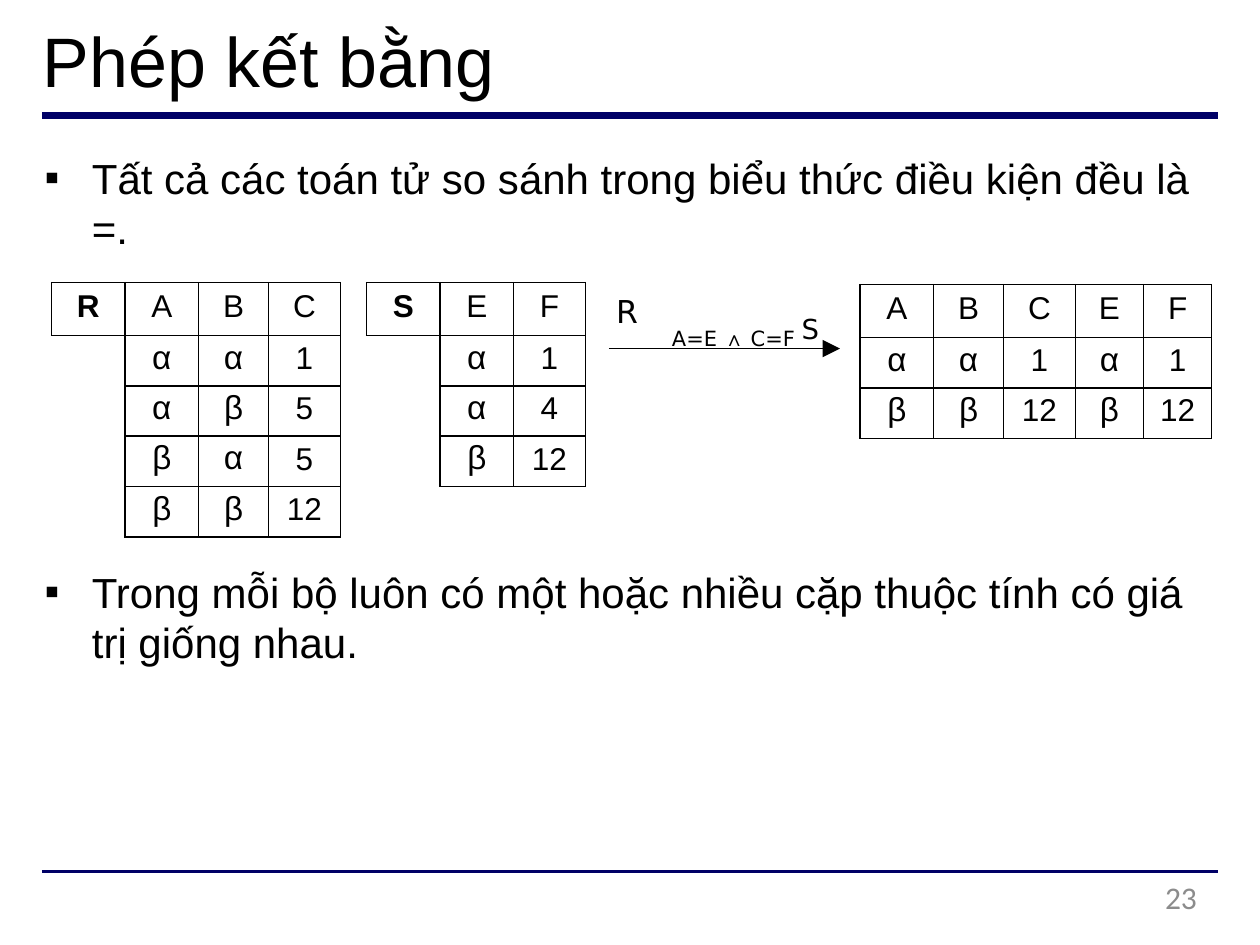
"""Build the slide about the equi-join, with its input and result tables."""
import pptx
import pptx.dml.color
import pptx.enum.shapes
import pptx.enum.text
import pptx.oxml
import pptx.oxml.ns
import pptx.util
from lxml import etree

Pt = pptx.util.Pt
qn = pptx.oxml.ns.qn
ALIGN = pptx.enum.text.PP_ALIGN

BLACK = pptx.dml.color.RGBColor(0x00, 0x00, 0x00)
NAVY = pptx.dml.color.RGBColor(0x00, 0x00, 0x66)
GRAY = pptx.dml.color.RGBColor(0x8C, 0x8C, 0x8C)
GREEK = ("α", "β")


class SlideBuilder:
    """Hold the style and the current slide, and add elements to it."""

    font_name = "Arial"
    header_height = 30.2
    row_height = 28.8

    def __init__(self, slide):
        self.slide = slide

    def place(self, shape, left, top, width, height):
        shape.left, shape.top = Pt(left), Pt(top)
        shape.width, shape.height = Pt(width), Pt(height)

    def frame(self, shape, wrap=True):
        text_frame = shape.text_frame
        text_frame.auto_size = pptx.enum.text.MSO_AUTO_SIZE.NONE
        text_frame.word_wrap = wrap
        text_frame.vertical_anchor = pptx.enum.text.MSO_ANCHOR.TOP
        text_frame.margin_left = text_frame.margin_right = 0
        text_frame.margin_top = Pt(1)
        text_frame.margin_bottom = 0
        return text_frame.paragraphs[0]

    def run(self, paragraph, text, size, font_name=None, color=BLACK, bold=False):
        run = paragraph.add_run()
        run.text = text
        run.font.size = Pt(size)
        run.font.name = font_name or self.font_name
        run.font.color.rgb = color
        run.font.bold = bold
        return run

    def title(self, text):
        shape = self.slide.shapes.title
        self.place(shape, 24.5, 8, 600, 50)
        paragraph = self.frame(shape)
        shape.text_frame.vertical_anchor = pptx.enum.text.MSO_ANCHOR.BOTTOM
        paragraph.alignment = ALIGN.LEFT
        self.run(paragraph, text, 40)

    def bullet(self, placeholder, top, text):
        self.place(placeholder, 24.5, top, 656, 60)
        paragraph = self.frame(placeholder)
        properties = paragraph._p.get_or_add_pPr()
        properties.set("marL", str(Pt(28)))
        properties.set("indent", str(-Pt(27)))
        etree.SubElement(properties, qn("a:buFont")).set("typeface", "Arial")
        etree.SubElement(properties, qn("a:buChar")).set("char", "▪")
        paragraph.space_before = Pt(0)
        self.run(paragraph, text, 24)

    def text_box(self, left, top, width, height, alignment=ALIGN.LEFT):
        shape = self.slide.shapes.add_textbox(Pt(left), Pt(top), Pt(width), Pt(height))
        paragraph = self.frame(shape, wrap=False)
        paragraph.alignment = alignment
        return paragraph

    def line(self, left, right, y, color, width, arrow=False):
        connector = self.slide.shapes.add_connector(
            pptx.enum.shapes.MSO_CONNECTOR.STRAIGHT, Pt(left), Pt(y), Pt(right), Pt(y))
        connector.line.color.rgb = color
        connector.line.width = Pt(width)
        if arrow:
            head = etree.SubElement(connector.line._get_or_add_ln(), qn("a:tailEnd"))
            for key, value in (("type", "triangle"), ("w", "lg"), ("len", "lg")):
                head.set(key, value)
        etree.SubElement(connector._element.spPr, qn("a:effectLst"))

    def borders(self, cell, sides):
        properties = cell._tc.get_or_add_tcPr()
        for side in "LRTB":
            border = etree.SubElement(properties, qn("a:ln" + side))
            if side in sides:
                border.set("w", str(Pt(1)))
                fill = etree.SubElement(border, qn("a:solidFill"))
                etree.SubElement(fill, qn("a:srgbClr")).set("val", str(BLACK))
            else:
                etree.SubElement(border, qn("a:noFill"))

    def table(self, left, top, widths, rows, named=False):
        """Add a relation; a named one keeps its name above an empty column."""
        height = self.header_height + self.row_height * (len(rows) - 1)
        table = self.slide.shapes.add_table(
            len(rows), len(widths), Pt(left), Pt(top), Pt(sum(widths)), Pt(height)).table
        table.first_row = table.horz_banding = False
        for column, width in zip(table.columns, widths):
            column.width = Pt(width)
        for i, values in enumerate(rows):
            table.rows[i].height = Pt(self.row_height if i else self.header_height)
            for j, value in enumerate(values):
                cell = table.cell(i, j)
                label_column = named and j == 0
                beside_name = label_column and i > 0
                sides = "LRTB" if not beside_name else "TR" if i == 1 else "R"
                self.borders(cell, sides)
                cell.fill.background()
                cell.margin_left = cell.margin_right = cell.margin_bottom = 0
                is_greek = value in GREEK
                cell.margin_top = Pt(3.8 if i == 0 else 2.1 if is_greek else 3.1)
                if value:
                    paragraph = cell.text_frame.paragraphs[0]
                    paragraph.alignment = ALIGN.CENTER
                    self.run(paragraph, value, 19 if is_greek else 18, bold=label_column)
        if named:
            table.cell(1, 0).merge(table.cell(len(rows) - 1, 0))


def main():
    presentation = pptx.Presentation()
    presentation.slide_width, presentation.slide_height = Pt(720), Pt(540)
    slide = presentation.slides.add_slide(presentation.slide_layouts[3])
    builder = SlideBuilder(slide)

    builder.line(24, 696, 66, NAVY, 4.5)
    builder.line(24, 696, 498, NAVY, 2.25)
    builder.title("Phép kết bằng")
    builder.bullet(slide.placeholders[1], 86,
                   "Tất cả các toán tử so sánh trong biểu thức điều kiện đều là =.")
    builder.bullet(slide.placeholders[2], 322.5,
                   "Trong mỗi bộ luôn có một hoặc nhiều cặp thuộc tính có giá trị giống nhau.")

    builder.table(29.5, 161.5, (42, 42, 40, 41), (
        ("R", "A", "B", "C"),
        ("", "α", "α", "1"),
        ("", "α", "β", "5"),
        ("", "β", "α", "5"),
        ("", "β", "β", "12")), named=True)
    builder.table(209.5, 161.5, (42, 42, 41), (
        ("S", "E", "F"),
        ("", "α", "1"),
        ("", "α", "4"),
        ("", "β", "12")), named=True)
    builder.table(491.5, 162.7, (42, 40, 41, 39, 39), (
        ("A", "B", "C", "E", "F"),
        ("α", "α", "1", "α", "1"),
        ("β", "β", "12", "β", "12")))

    builder.line(348, 480, 199.2, BLACK, 1, arrow=True)
    builder.run(builder.text_box(352, 166, 15, 24), "R", 18, "DejaVu Sans")
    condition = builder.text_box(384, 170, 92, 24)
    builder.run(condition, "A=E ", 12, "DejaVu Sans")
    builder.run(condition, "∧ ", 12)
    builder.run(condition, "C=F ", 12, "DejaVu Sans")
    relation = builder.run(condition, "S", 27, "DejaVu Sans")
    relation.font._element.set("baseline", "14000")

    number = builder.text_box(518, 501, 166, 27, ALIGN.RIGHT)
    builder.run(number, "23", 18, "Calibri", GRAY)
    presentation.save("out.pptx")


if __name__ == "__main__":
    main()
